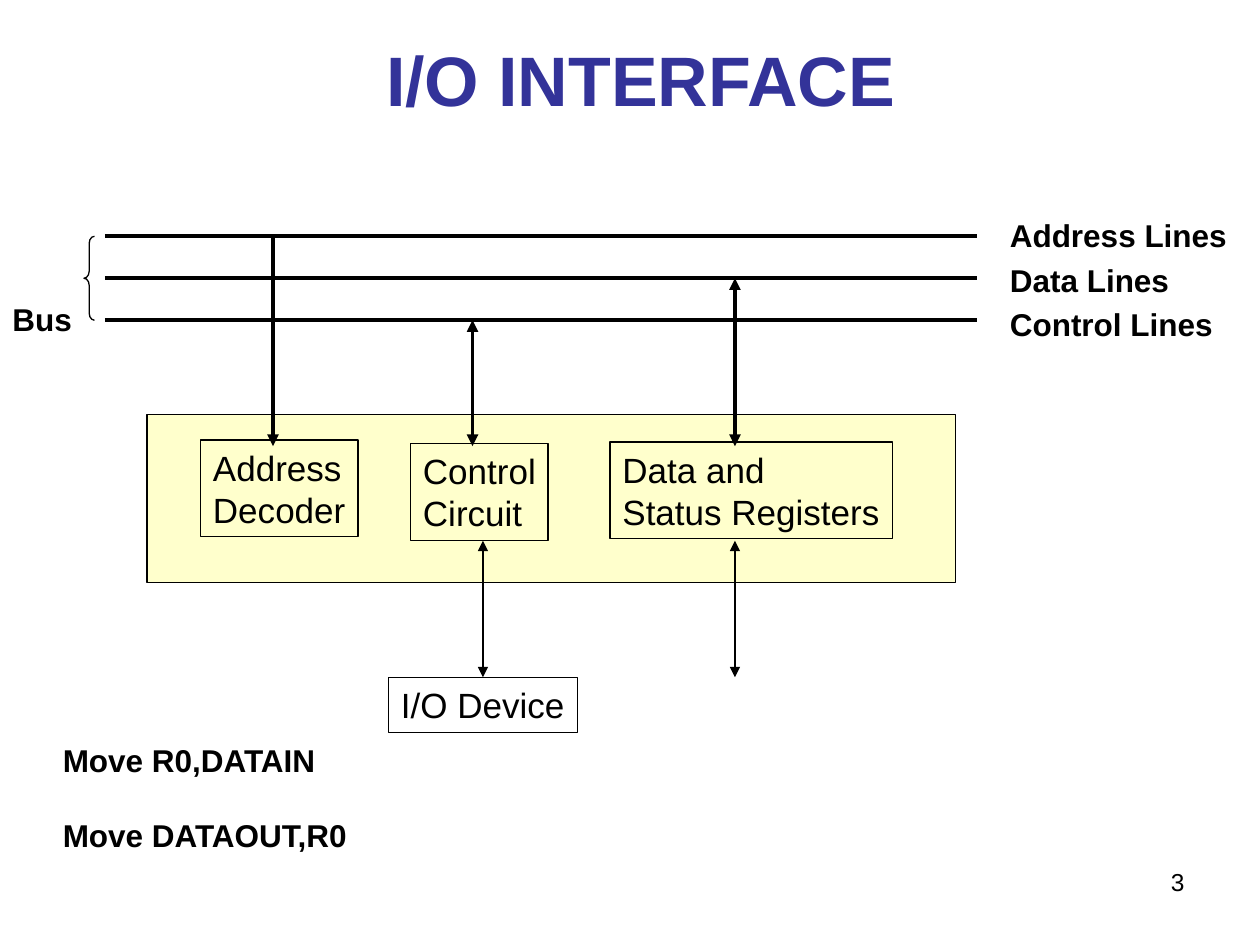
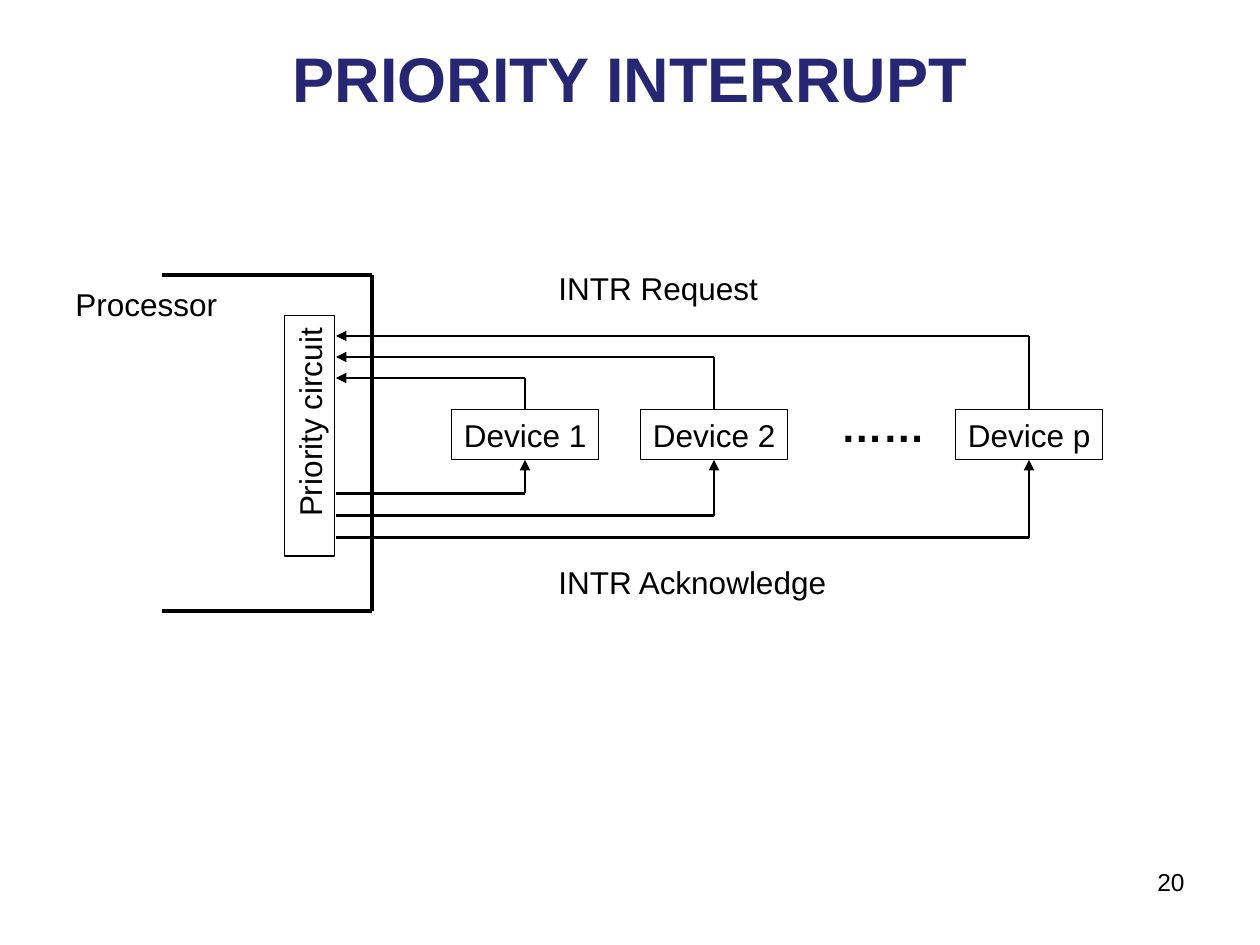
from dataclasses import dataclass
from typing import Any

from lxml.etree import SubElement
from pptx import Presentation
from pptx.dml.color import RGBColor
from pptx.enum.shapes import MSO_CONNECTOR, MSO_SHAPE
from pptx.enum.text import MSO_ANCHOR, MSO_AUTO_SIZE, PP_ALIGN
from pptx.oxml.ns import qn
from pptx.util import Inches, Pt

BLACK = RGBColor(0x00, 0x00, 0x00)
CREAM = RGBColor(0xFF, 0xFF, 0xCC)
INDIGO = RGBColor(0x33, 0x33, 0x99)
NAVY = RGBColor(0x26, 0x26, 0x73)
FONT = "Arial"
COLUMNS, ROWS = 120, 90
CELL = Inches(10) / COLUMNS
TOP, BOTTOM = 0, 2


def grid(*cells):
    """Turn grid cells into slide lengths."""
    return [round(cell * CELL) for cell in cells]


def write(shape, lines, size, bold=False, color=BLACK, align=PP_ALIGN.LEFT,
          anchor=MSO_ANCHOR.TOP, wrap=False, gap=0):
    """Fill a shape with one formatted paragraph per line."""
    frame = shape.text_frame
    frame.text = lines
    frame.word_wrap = wrap
    frame.auto_size = MSO_AUTO_SIZE.NONE
    frame.vertical_anchor = anchor
    for index, paragraph in enumerate(frame.paragraphs):
        paragraph.alignment = align
        paragraph.space_before = Pt(gap if index else 0)
        paragraph.font.name = FONT
        paragraph.font.size = Pt(size)
        paragraph.font.bold = bold
        paragraph.font.color.rgb = color


@dataclass
class Region:
    """Part of a slide whose contents are placed from its top left corner."""

    slide: Any
    left: float
    top: float

    def place(self, left, top, width, height):
        """Give the slide lengths of a box inside the region."""
        return grid(self.left + left, self.top + top, width, height)

    def label(self, text, box, size=18, **style):
        """Add plain text."""
        write(self.slide.shapes.add_textbox(*self.place(*box)), text, size, **style)

    def outline(self, box, kind=MSO_SHAPE.RECTANGLE, fill=None):
        """Add a thinly outlined shape."""
        shape = self.slide.shapes.add_shape(kind, *self.place(*box))
        shape.shadow.inherit = False
        if fill is None:
            shape.fill.background()
        else:
            shape.fill.solid()
            shape.fill.fore_color.rgb = fill
        shape.line.color.rgb = BLACK
        shape.line.width = Pt(0.75)
        return shape

    def block(self, text, box, size=18, **style):
        """Add an outlined box with text."""
        shape = self.outline(box)
        write(shape, text, size, **style)
        return shape

    def line(self, start, end, width, head=False, tail=False):
        """Add a straight line with optional arrowheads."""
        points = grid(self.left + start[0], self.top + start[1],
                      self.left + end[0], self.top + end[1])
        connector = self.slide.shapes.add_connector(MSO_CONNECTOR.STRAIGHT, *points)
        connector.line.color.rgb = BLACK
        connector.line.width = Pt(width)
        outline = connector.line._get_or_add_ln()
        for tag, wanted in (("a:headEnd", head), ("a:tailEnd", tail)):
            if wanted:
                SubElement(outline, qn(tag), type="triangle")
        SubElement(connector._element.spPr, qn("a:effectLst"))
        return connector


def add_titled_slide(presentation, title, box, size, color, number):
    """Add a slide with its title and page number."""
    slide = presentation.slides.add_slide(presentation.slide_layouts[5])
    heading = slide.shapes.title
    heading.left, heading.top, heading.width, heading.height = grid(*box)
    write(heading, title, size, bold=True, color=color, align=PP_ALIGN.CENTER,
          anchor=MSO_ANCHOR.MIDDLE, wrap=True)
    Region(slide, 86, 82).label(number, (0, 0, 28, 6.2), 14,
                                align=PP_ALIGN.RIGHT, wrap=True)
    return slide


def draw_bus(region):
    """Draw the three bus lines with their names and brace."""
    names = (("Address Lines", 23), ("Data Lines", 17.5), ("Control Lines", 21.7))
    for index, (name, width) in enumerate(names):
        region.line((10, 4 * index), (93, 4 * index), 2.25)
        region.label(name, (95, 4.25 * index - 2.5, width, 4.8), bold=True)
    region.label("Bus", (0, 5.5, 8, 4.8), bold=True)
    brace = region.outline((8, 0, 1, 8), MSO_SHAPE.LEFT_BRACE)
    brace.adjustments[0] = 0.67


def draw_interface(region):
    """Draw the interface circuits, their bus links and the device."""
    region.outline((0, 0, 77, 16), fill=CREAM)
    circuits = (
        ("Address\nDecoder", 5.1, 2.4, 15, 12, -17),
        ("Control\nCircuit", 25.1, 2.75, 13.1, 31, -9),
        ("Data and\nStatus Registers", 44.1, 2.6, 26.9, 56, -13),
    )
    for text, left, top, width, link, bus_row in circuits:
        region.block(text, (left, top, width, 9.2), 20)
        region.line((link, bus_row), (link, 3), 2.25, head=link > 12, tail=True)
    device = region.block("I/O Device", (23, 25, 18, 5.3), 20)
    control_link, _ = [region.line((link, 12), (link, 25), 1.5, head=True, tail=True)
                       for link in (32, 56)]
    control_link.end_connect(device, TOP)


def draw_processor(region):
    """Draw the open processor frame and its priority circuit."""
    for row in (0, 32):
        region.line((0, row), (20, row), 2.25)
    region.line((20, 0), (20, 32), 2.25)
    region.label("Processor", (-9.4, 0.4, 15.8, 4.8))
    circuit = region.block("Priority circuit", (2.65, 12.9, 22.9, 4.8),
                           align=PP_ALIGN.RIGHT)
    circuit.rotation = 270


def draw_devices(region):
    """Draw the devices with their request and acknowledge lines."""
    region.label("INTR Request", (20, -7, 27, 4.8), wrap=True)
    region.label("INTR Acknowledge", (20, 21, 30.5, 4.8), wrap=True)
    region.label("……", (46.9, 5.6, 10.3, 6), 24, bold=True)
    for index, (name, middle) in enumerate((("1", 18), ("2", 36), ("p", 66))):
        device = region.block(f"Device {name}", (middle - 7, 7, 14, 4.8))
        request, acknowledge = 4 - 2 * index, 15 + 2.1 * index
        region.line((middle, request), (0, request), 0.75, tail=True)
        region.line((middle, request), (middle, 7), 0.75).end_connect(device, TOP)
        region.line((0, acknowledge), (middle, acknowledge), 1.5)
        rise = region.line((middle, acknowledge), (middle, 11.8), 0.75, tail=True)
        rise.end_connect(device, BOTTOM)


def build_interface_slide(presentation):
    """Build the I/O interface slide."""
    slide = add_titled_slide(presentation, "I/O INTERFACE", (10, 3, 102, 9),
                             40, INDIGO, "3")
    draw_bus(Region(slide, 0, 22.5))
    draw_interface(Region(slide, 14, 39.5))
    Region(slide, 4.8, 70).label("Move R0,DATAIN\nMove DATAOUT,R0",
                                 (0, 0, 30.2, 12), bold=True, gap=21)


def build_interrupt_slide(presentation):
    """Build the priority interrupt slide."""
    slide = add_titled_slide(presentation, "PRIORITY INTERRUPT", (6, 3.6, 108, 7.5),
                             36, NAVY, "20")
    draw_processor(Region(slide, 15.4, 26.2))
    draw_devices(Region(slide, 32, 32))


def main():
    """Build and save the presentation."""
    presentation = Presentation()
    presentation.slide_width, presentation.slide_height = grid(COLUMNS, ROWS)
    build_interface_slide(presentation)
    build_interrupt_slide(presentation)
    presentation.save("out.pptx")


if __name__ == "__main__":
    main()
